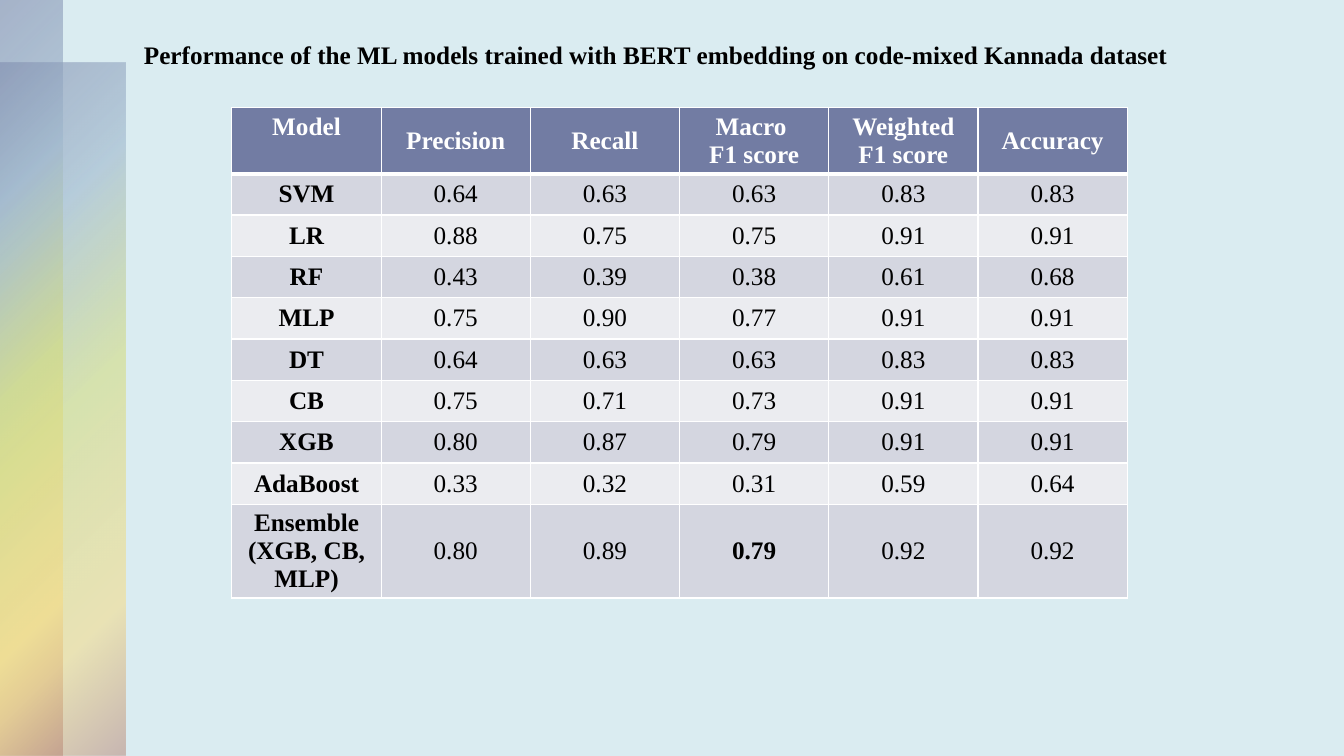
from pptx import Presentation
from pptx.dml.color import RGBColor
from pptx.enum.shapes import MSO_SHAPE as Shape
from pptx.enum.text import MSO_ANCHOR as Anchor, PP_ALIGN as Align
from pptx.oxml import parse_xml
from pptx.oxml.ns import nsdecls
from pptx.util import Inches, Pt

FONT = "Times New Roman"
BLACK, WHITE = "000000", "FFFFFF"
BACKGROUND, HEADER = "DAECF1", "727CA3"
BANDS = ("D4D6E0", "EBECF0")
COLUMN_WIDTH, ROW_HEIGHT = 1.48, 0.41
BEST_SCORE = (9, 3)

TITLE = "Performance of the ML models trained with BERT embedding on code-mixed Kannada dataset"
RESULTS = [
    ("Model", "Precision", "Recall", "Macro \nF1 score", "Weighted\nF1 score", "Accuracy"),
    ("SVM", "0.64", "0.63", "0.63", "0.83", "0.83"),
    ("LR", "0.88", "0.75", "0.75", "0.91", "0.91"),
    ("RF", "0.43", "0.39", "0.38", "0.61", "0.68"),
    ("MLP", "0.75", "0.90", "0.77", "0.91", "0.91"),
    ("DT", "0.64", "0.63", "0.63", "0.83", "0.83"),
    ("CB", "0.75", "0.71", "0.73", "0.91", "0.91"),
    ("XGB", "0.80", "0.87", "0.79", "0.91", "0.91"),
    ("AdaBoost", "0.33", "0.32", "0.31", "0.59", "0.64"),
    ("Ensemble\n(XGB, CB, MLP)", "0.80", "0.89", "0.79", "0.92", "0.92"),
]


def color(value):
    """Turn a hex string into a colour."""
    return RGBColor.from_string(value)


def write_text(frame, text, size=18, fill=BLACK, bold=False, align=Align.LEFT):
    """Write each line of the text as one formatted paragraph."""
    frame.word_wrap = True
    for index, line in enumerate(text.split("\n")):
        para = frame.add_paragraph() if index else frame.paragraphs[0]
        para.alignment = align
        span = para.add_run()
        span.text = line
        span.font.name = FONT
        span.font.size = Pt(size)
        span.font.bold = bold
        span.font.color.rgb = color(fill)


def add_side_band(page, top, width, middle):
    """Add a translucent band with a radial gradient from its top left corner."""
    stops = [(0, "727CA3", 50), (25, "9FB8CD", 60), (middle, "D2DA7A", 55),
             (81, "FADA7A", 50), (99, "B88472", 50), (100, "B88472", 50)]
    marks = "".join(
        f'<a:gs pos="{place * 1000}"><a:srgbClr val="{value}">'
        f'<a:alpha val="{alpha * 1000}"/></a:srgbClr></a:gs>'
        for place, value, alpha in stops)
    band = page.shapes.add_shape(
        Shape.RECTANGLE, 0, Inches(top), Inches(width), Inches(7.5 - top))
    band.shadow.inherit = False
    band.line.fill.background()
    geometry = band.element.spPr.find("{*}prstGeom")
    geometry.addnext(parse_xml(
        f'<a:gradFill {nsdecls("a")} rotWithShape="1"><a:gsLst>{marks}</a:gsLst>'
        '<a:path path="circle"><a:fillToRect r="100000" b="100000"/></a:path></a:gradFill>'))


def set_borders(cell, **widths):
    """Draw white borders, one point wide unless a side says otherwise."""
    for index, side in enumerate("LRTB"):
        width = Pt(widths.get(side, 1))
        cell._tc.get_or_add_tcPr().insert(index, parse_xml(
            f'<a:ln{side} {nsdecls("a")} w="{width}"><a:solidFill>'
            f'<a:srgbClr val="{WHITE}"/></a:solidFill></a:ln{side}>'))


def add_results_table(page, left, top):
    """Add the scores with a dark header row and banded body rows."""
    rows, columns = len(RESULTS), len(RESULTS[0])
    table = page.shapes.add_table(
        rows, columns, Inches(left), Inches(top),
        Inches(COLUMN_WIDTH * columns), Inches(ROW_HEIGHT * rows)).table
    for row, values in enumerate(RESULTS):
        header = row == 0
        for column, text in enumerate(values):
            cell = table.cell(row, column)
            cell.fill.solid()
            cell.fill.fore_color.rgb = color(HEADER if header else BANDS[(row - 1) % 2])
            corner = header and column == 0
            cell.vertical_anchor = Anchor.TOP if corner else Anchor.MIDDLE
            write_text(cell.text_frame, text, fill=WHITE if header else BLACK,
                       bold=header or column == 0 or (row, column) == BEST_SCORE,
                       align=Align.CENTER)
            set_borders(cell, T=3 if row == 1 else 1, B=3 if header else 1)


def main():
    """Build the slide and save it."""
    deck = Presentation()
    deck.slide_width, deck.slide_height = Inches(13.33), Inches(7.5)
    page = deck.slides.add_slide(deck.slide_layouts[6])
    page.background.fill.solid()
    page.background.fill.fore_color.rgb = color(BACKGROUND)
    add_side_band(page, top=0.62, width=1.24, middle=50)
    add_side_band(page, top=0, width=0.62, middle=49)
    add_results_table(page, left=2.3, top=1.07)
    box = page.shapes.add_textbox(Inches(1.33), Inches(0.34), Inches(11.06), Inches(0.4))
    write_text(box.text_frame, TITLE, bold=True)
    deck.save("out.pptx")


if __name__ == "__main__":
    main()
